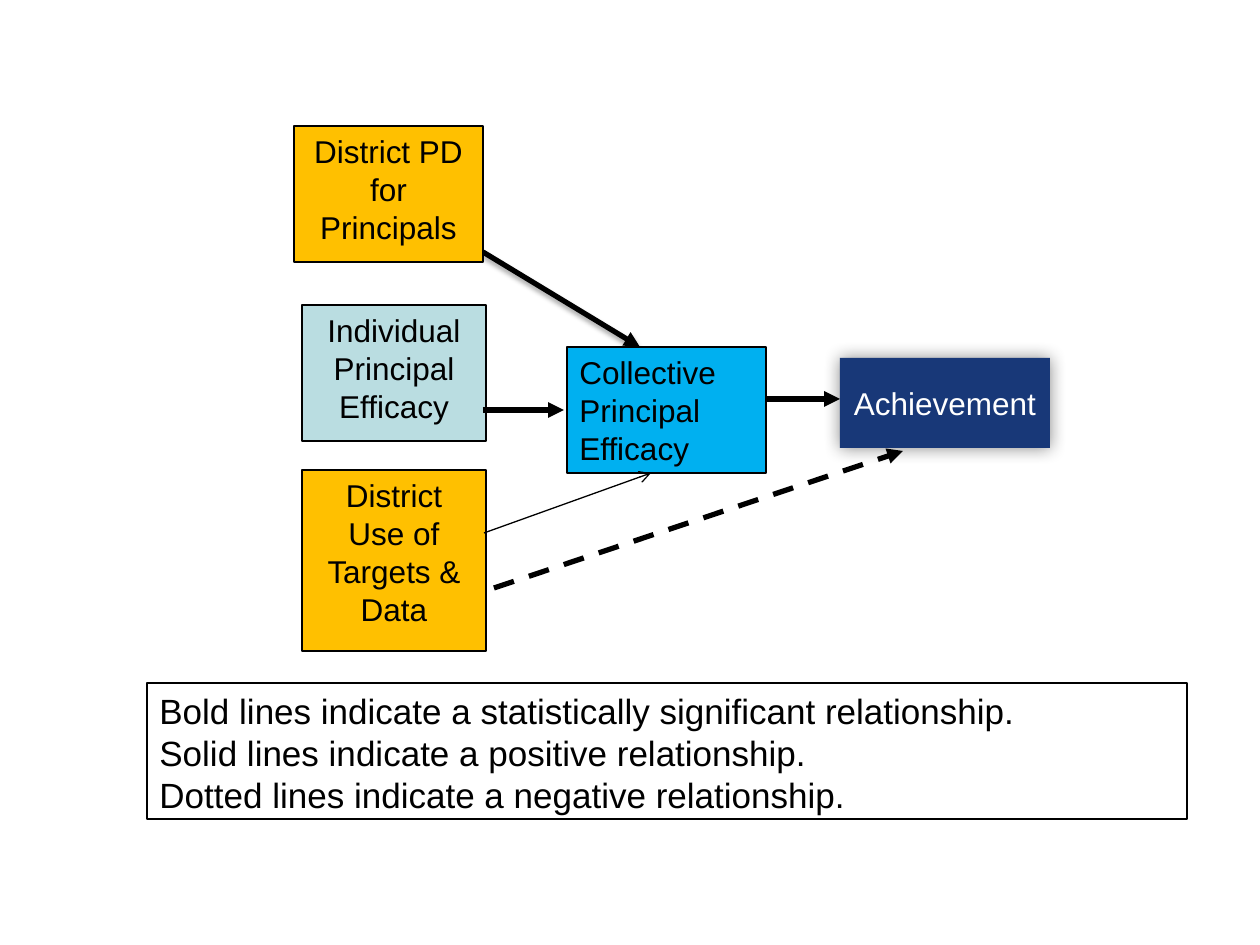
from lxml.etree import SubElement
from pptx import Presentation
from pptx.dml.color import RGBColor
from pptx.enum.dml import MSO_LINE
from pptx.enum.shapes import MSO_CONNECTOR, MSO_SHAPE
from pptx.enum.text import MSO_ANCHOR, PP_ALIGN
from pptx.oxml.ns import qn
from pptx.util import Emu, Pt

PX = 914400 / 126
BLACK, WHITE, AMBER = "000000", "FFFFFF", "FFC000"
PALE_TEAL, SKY, NAVY = "BADDE1", "00B0F0", "183878"


def px(*lengths):
    return [Emu(round(length * PX)) for length in lengths]


def color(value):
    return RGBColor.from_string(value)


def apply(target, values):
    for name, value in values.items():
        setattr(target, name, value)


def add_shadow(effects, blur, distance, alpha):
    """Add a downward black shadow; blur and distance in points, alpha in percent."""
    shadow = SubElement(effects, qn("a:outerShdw"), blurRad=str(Pt(blur)),
                        dist=str(Pt(distance)), dir="5400000", algn="ctr", rotWithShape="0")
    black = SubElement(shadow, qn("a:srgbClr"), val=BLACK)
    SubElement(black, qn("a:alpha"), val=str(alpha * 1000))


class Diagram:
    font = "Arial"
    thin, bold = Pt(0.75), Pt(3)

    def __init__(self, page):
        self.page = page

    def box(self, place, fill, lines, size=18, align=PP_ALIGN.CENTER,
            anchor=MSO_ANCHOR.TOP, ink=BLACK, outline=True, shadow=None):
        box = self.page.shapes.add_shape(MSO_SHAPE.RECTANGLE, *px(*place))
        box.shadow.inherit = False
        if shadow:
            add_shadow(box._element.spPr.find(qn("a:effectLst")), *shadow)
        box.fill.solid()
        box.fill.fore_color.rgb = color(fill)
        if outline:
            box.line.color.rgb = color(BLACK)
            box.line.width = self.thin
        else:
            box.line.fill.background()
        frame = box.text_frame
        apply(frame, {"word_wrap": True, "vertical_anchor": anchor})
        for index, line in enumerate(lines):
            para = frame.paragraphs[0] if index == 0 else frame.add_paragraph()
            para.alignment = align
            span = para.add_run()
            span.text = line
            apply(span.font, {"name": self.font, "size": Pt(size)})
            span.font.color.rgb = color(ink)

    def arrow(self, start, end, width=bold, head="triangle", dash=None, shadow=None):
        arrow = self.page.shapes.add_connector(MSO_CONNECTOR.STRAIGHT, *px(*start, *end))
        arrow.line.color.rgb = color(BLACK)
        apply(arrow.line, {"width": width, "dash_style": dash})
        SubElement(arrow.line._get_or_add_ln(), qn("a:tailEnd"), type=head)
        effects = SubElement(arrow._element.spPr, qn("a:effectLst"))
        if shadow:
            add_shadow(effects, *shadow)


def main():
    deck = Presentation()
    deck.slide_width, deck.slide_height = px(1260, 945)
    diagram = Diagram(deck.slides.add_slide(deck.slide_layouts[6]))

    diagram.box((302, 305, 184, 136), PALE_TEAL, ["Individual", "Principal Efficacy"])
    diagram.arrow((766, 399), (840, 399))
    diagram.arrow((483, 252), (640, 347), shadow=(3.1, 1.8, 35))
    diagram.box((302, 470, 184, 181), AMBER, ["District Use of Targets & Data"])
    diagram.box((567, 347, 199, 126), SKY, ["Collective Principal", "Efficacy"],
                align=PP_ALIGN.LEFT)
    diagram.box((840, 358, 210, 90), NAVY, ["Achievement"], anchor=MSO_ANCHOR.MIDDLE,
                ink=WHITE, outline=False, shadow=(10, 0, 45))
    diagram.arrow((494, 588), (903, 451), dash=MSO_LINE.DASH)
    diagram.box((294, 126, 189, 136), AMBER, ["District PD for Principals"])
    diagram.arrow((483, 410), (564, 410))
    diagram.box((147, 683, 1040, 136), WHITE, [
        "Bold lines indicate a statistically significant relationship.",
        "Solid lines indicate a positive relationship.",
        "Dotted lines indicate a negative relationship.",
    ], size=20, align=PP_ALIGN.LEFT)
    diagram.arrow((484, 533), (651, 473), width=Diagram.thin, head="arrow")

    deck.save("out.pptx")


if __name__ == "__main__":
    main()
